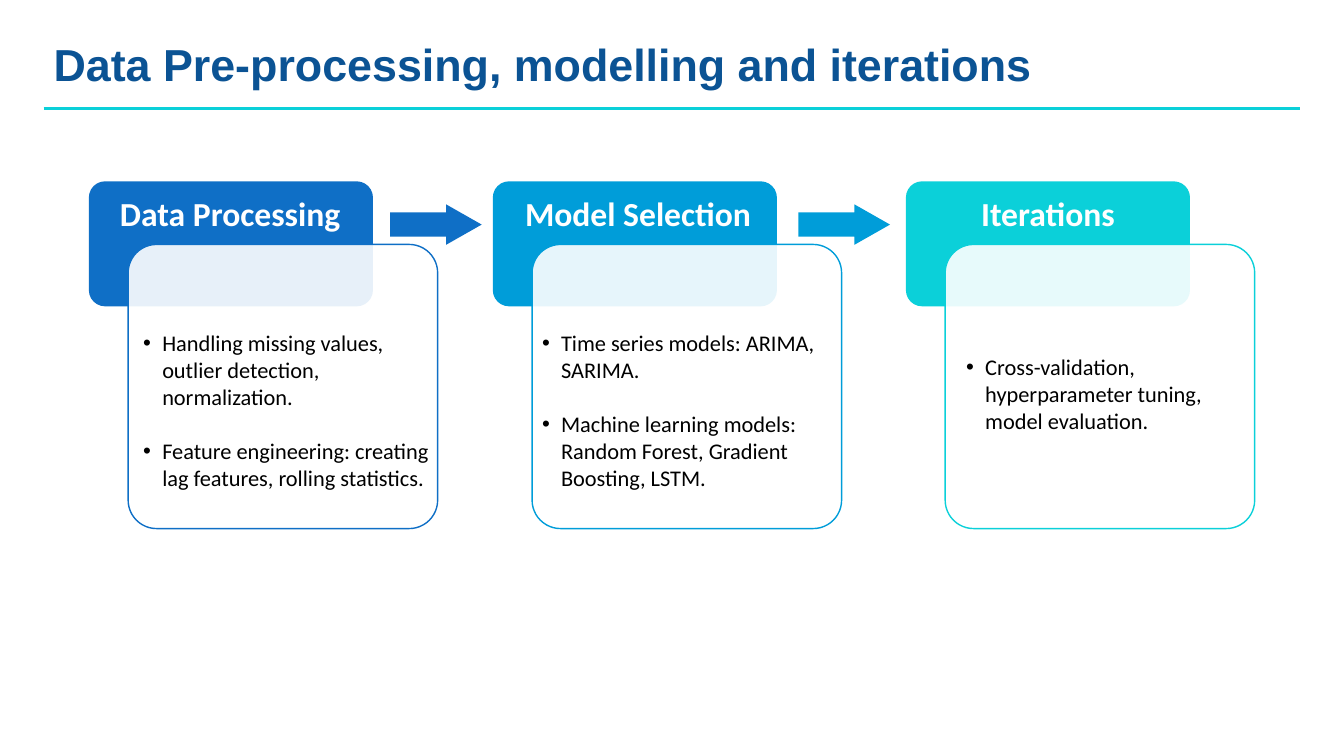
from dataclasses import dataclass

from lxml import etree
from pptx import Presentation
from pptx.dml.color import RGBColor
from pptx.enum import shapes, text
from pptx.oxml import ns
from pptx.util import Cm, Pt


@dataclass(frozen=True)
class Theme:
    navy: str = "0B5394"
    blue: str = "0F6FC6"
    sky: str = "009DD9"
    aqua: str = "0BD0D9"
    white: str = "FFFFFF"
    black: str = "000000"
    title: int = 32
    head: int = 24
    body: int = 16
    main: str = "Arial"
    card: str = "Calibri"


THEME = Theme()
STEPS = [
    (2.24, 7.59, 0.41, (1.37, 3.73), THEME.blue, "Data Processing", [
        "Handling missing values, outlier detection, normalization.",
        "Feature engineering: creating lag features, rolling statistics."]),
    (12.42, 7.7, 0.51, (1.24, 3.73), THEME.sky, "Model Selection", [
        "Time series models: ARIMA, SARIMA.",
        "Machine learning models: Random Forest, Gradient Boosting, LSTM."]),
    (22.83, None, 0.43, (1.52, 4.34), THEME.aqua, "Iterations", [
        "Cross-validation, hyperparameter tuning, model evaluation."]),
]


def color(code):
    return RGBColor.from_string(code)


def add_shape(slide, kind, box, fill, line=None):
    shape = slide.shapes.add_shape(kind, *map(Cm, box))
    shape.shadow.inherit = False
    shape.fill.solid()
    shape.fill.fore_color.rgb = color(fill)
    if line:
        shape.line.color.rgb = color(line)
        shape.line.width = Pt(1)
    else:
        shape.line.fill.background()
    return shape


def add_text(slide, box, lines, face, size, ink, bold=False, inset=0.0,
             align=text.PP_ALIGN.LEFT, bullet=False):
    frame = slide.shapes.add_textbox(*map(Cm, box)).text_frame
    frame.word_wrap = True
    frame.margin_left = frame.margin_right = Cm(inset)
    frame.margin_top = frame.margin_bottom = Cm(inset / 2)
    for i, line in enumerate(lines):
        para = frame.paragraphs[0] if i == 0 else frame.add_paragraph()
        para.text = line
        para.alignment = align
        if i:
            para.space_before = Pt(19.5)
        if bullet:
            props = para._p.get_or_add_pPr()
            props.set("marL", str(Cm(0.48)))
            props.set("indent", str(-Cm(0.48)))
            etree.SubElement(props, ns.qn("a:buFont"), typeface="Arial")
            etree.SubElement(props, ns.qn("a:buChar"), char="•")
        para.font.name = face
        para.font.size = Pt(size)
        para.font.bold = bold
        para.font.color.rgb = color(ink)
    return frame


def add_title(slide, left, top, width, words):
    rule = slide.shapes.add_connector(
        shapes.MSO_CONNECTOR.STRAIGHT, Cm(left), Cm(top + 1.95),
        Cm(left + width), Cm(top + 1.95))
    rule.line.color.rgb = color(THEME.aqua)
    rule.line.width = Pt(2.25)
    etree.SubElement(rule._element.spPr, ns.qn("a:effectLst"))
    add_text(slide, (left, top, 27.79, 1.63), [words], THEME.main,
             THEME.title, THEME.navy, bold=True, inset=0.25)


def add_step(slide, left, top, step):
    arrow, head, body, tint, name, points = step
    kind = shapes.MSO_SHAPE
    tab = add_shape(slide, kind.ROUNDED_RECTANGLE,
                    (left, top, 7.16, 3.15), tint)
    tab.adjustments[0] = 0.13
    card = add_shape(slide, kind.ROUNDED_RECTANGLE,
                     (left + 0.99, top + 1.59, 7.8, 7.16), THEME.white, tint)
    card.adjustments[0] = 0.1
    fill = card._element.spPr.find(ns.qn("a:solidFill"))
    etree.SubElement(fill[0], ns.qn("a:alpha"), val="90000")
    if arrow:
        mark = add_shape(slide, kind.RIGHT_ARROW,
                         (left + arrow, top + 0.58, 2.31, 1.02), tint)
        mark.adjustments[0] = 0.6
        mark.adjustments[1] = 0.88
    frame = add_text(slide, (left + head, top + 0.28, 6.3, 1.02), [name],
                     THEME.card, THEME.head, THEME.white, bold=True,
                     align=text.PP_ALIGN.CENTER)
    frame.vertical_anchor = text.MSO_ANCHOR.BOTTOM
    add_text(slide, (left + body[0], top + body[1], 7.26, 2.06 * len(points)),
             points, THEME.card, THEME.body, THEME.black, bullet=True)


def main():
    deck = Presentation()
    deck.slide_width, deck.slide_height = Cm(33.87), Cm(19.05)
    slide = deck.slides.add_slide(deck.slide_layouts[6])
    add_title(slide, 1.1, 0.79, 31.67,
              "Data Pre-processing, modelling and iterations")
    for left, *step in STEPS:
        add_step(slide, left, 4.57, step)
    deck.save("out.pptx")


if __name__ == "__main__":
    main()
